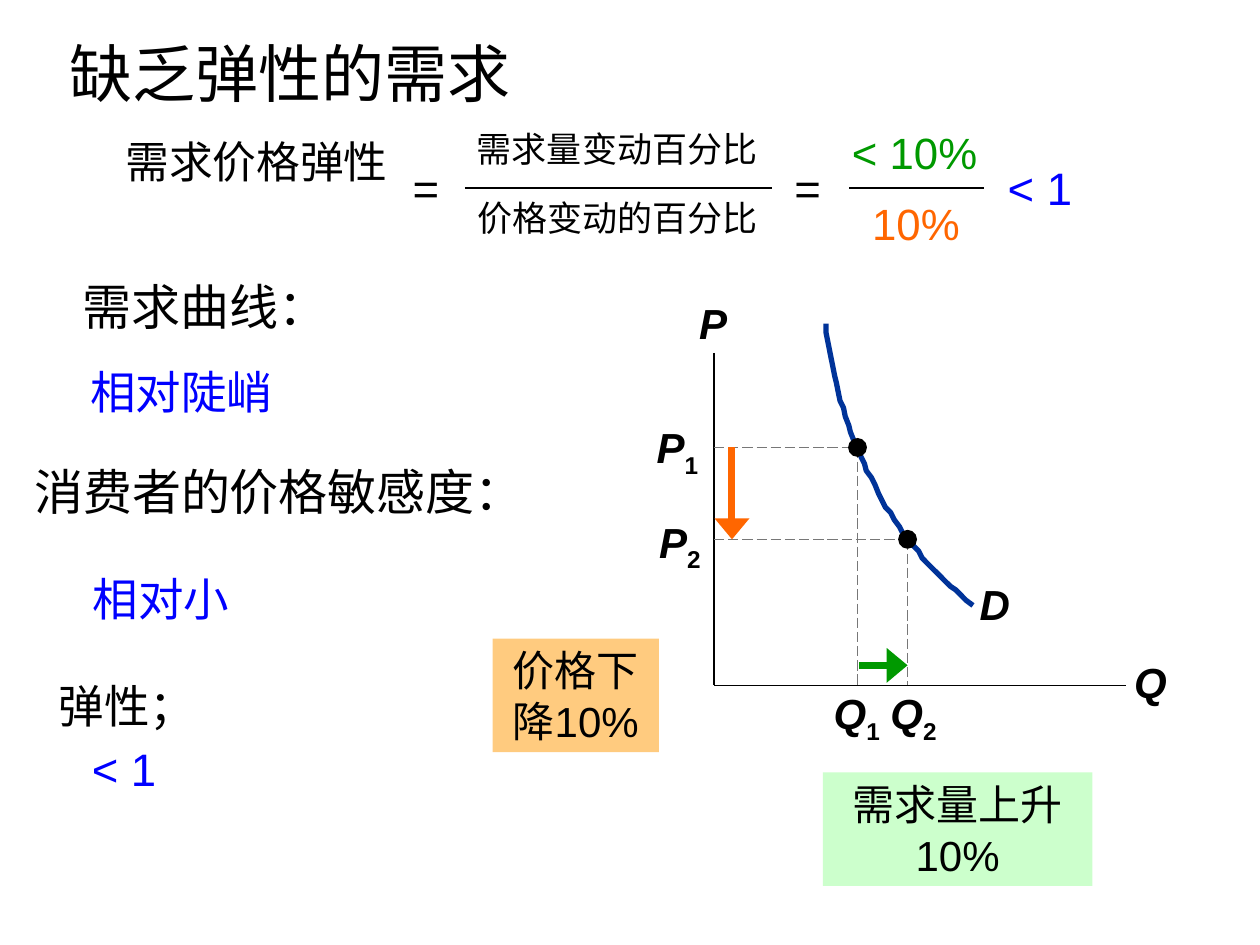
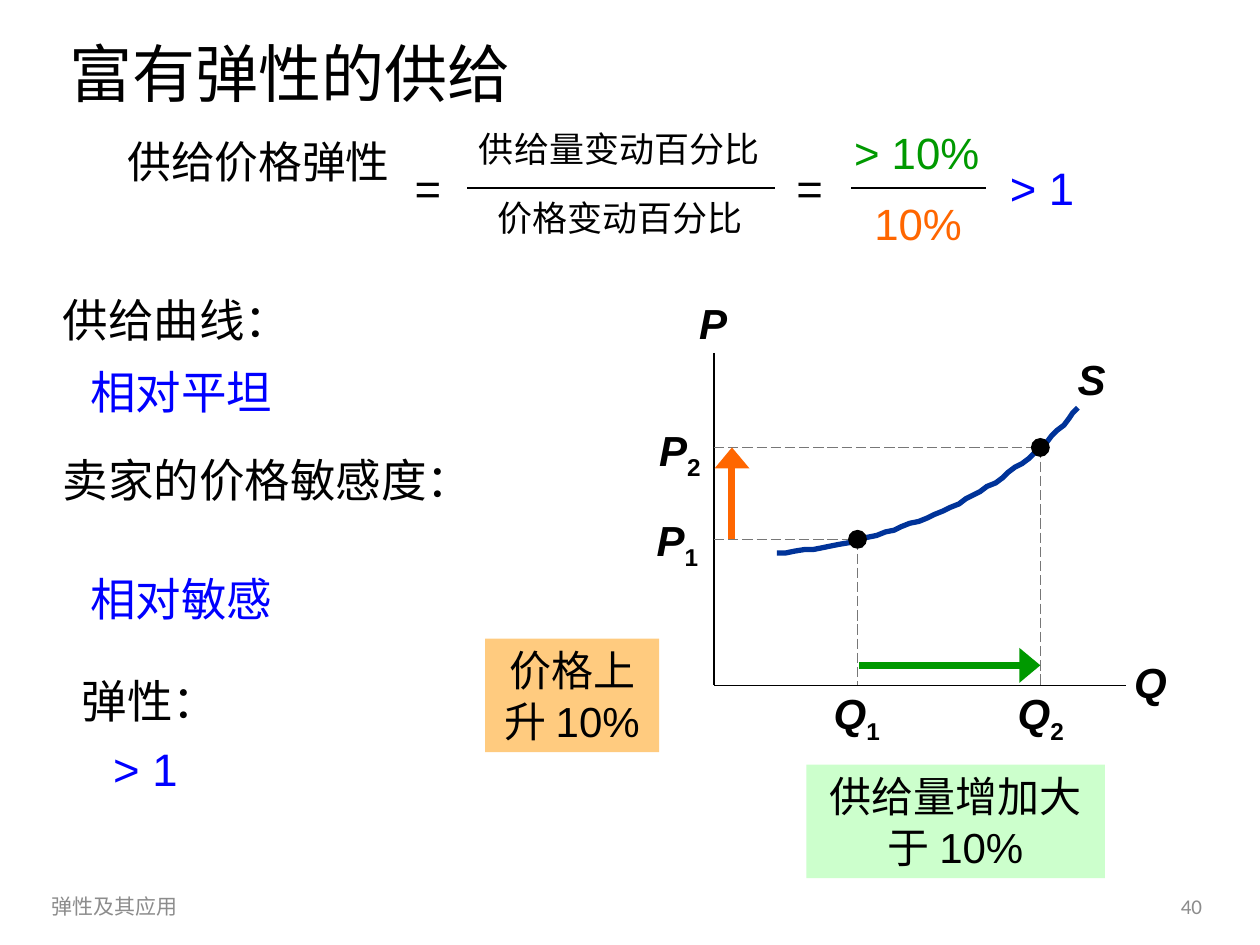
from dataclasses import dataclass
from typing import Any, NamedTuple, Optional

from lxml.etree import SubElement
from pptx import Presentation
from pptx.dml.color import RGBColor
from pptx.enum.dml import MSO_LINE_DASH_STYLE as Dash
from pptx.enum.shapes import MSO_CONNECTOR as Connector, MSO_SHAPE as Preset
from pptx.enum.text import MSO_ANCHOR as Anchor, MSO_AUTO_SIZE as AutoSize, PP_ALIGN as Align
from pptx.oxml.ns import qn
from pptx.util import Pt


@dataclass(frozen=True)
class Theme:
    black: str = "000000"
    grey: str = "8C8C8C"
    guide: str = "777777"
    curve: str = "003399"
    answer: str = "0000FF"
    price: str = "FF6600"
    quantity: str = "009900"
    price_fill: str = "FF9900"
    quantity_fill: str = "CCFFCC"
    body_font: str = "Arial"
    title_font: str = "Calibri"
    title: float = 36
    large: float = 28
    note: float = 26
    formula: float = 25
    label: float = 24
    fraction: float = 20
    footer: float = 12


THEME = Theme()


class Spot(NamedTuple):
    x: float
    y: float


class Area(NamedTuple):
    left: float
    top: float
    width: float
    height: float


@dataclass(frozen=True)
class Style:
    size: float
    color: str = THEME.black
    font: str = THEME.body_font
    align: Align = Align.CENTER
    spacing: float = 1.0
    anchor: Anchor = Anchor.TOP
    strong: bool = False


@dataclass(frozen=True)
class Note:
    text: str
    left: float
    top: float
    size: float = THEME.note
    color: str = THEME.black


@dataclass(frozen=True)
class MarketPoint:
    """A dot on the curve with the places of its two axis labels."""
    number: str
    spot: Spot
    quantity_center: float
    price_label: Spot


@dataclass(frozen=True)
class Callout:
    text: str
    area: Area


@dataclass(frozen=True)
class Lesson:
    title: str
    term: str
    numerator: str
    denominator: str
    change: str
    result: str
    formula_shift: float
    notes: tuple[Note, ...]
    curve: tuple[Spot, ...]
    curve_name: str
    curve_label: Spot
    points: tuple[MarketPoint, MarketPoint]
    price_callout: Callout
    quantity_callout: Callout
    page_number: Optional[str] = None


TITLE = Style(THEME.title, font=THEME.title_font, align=Align.LEFT, spacing=0.9, anchor=Anchor.MIDDLE)
LABEL = Style(THEME.label, strong=True)
PRICE_LABEL = Style(THEME.label, strong=True, align=Align.RIGHT)
CALLOUT = Style(THEME.label)
FOOTER = Style(THEME.footer, THEME.grey, THEME.title_font, Align.LEFT, anchor=Anchor.MIDDLE)
PAGE_NUMBER = Style(THEME.footer, THEME.grey, THEME.title_font, anchor=Anchor.MIDDLE)

ORIGIN = Spot(408, 391.7)
AXIS_TOP, AXIS_RIGHT = 201.6, 643.7
HIGH_PRICE, LOW_PRICE = 255.7, 308.2
FIRST_QUANTITY = 490
DOT = 10.8
LABEL_HEIGHT = 36


def assign(target: Any, values: dict[str, Any]) -> None:
    for name, value in values.items():
        setattr(target, name, value)


def write(shape: Any, text: str, style: Style, subscript: str = "") -> None:
    frame = shape.text_frame
    assign(frame, {"word_wrap": True, "auto_size": AutoSize.NONE, "vertical_anchor": style.anchor})
    para = frame.paragraphs[0]
    assign(para, {"alignment": style.align, "line_spacing": style.spacing})
    for content, is_subscript in ((text, False), (subscript, True)):
        if not content:
            continue
        span = para.add_run()
        span.text = content
        assign(span.font, {"name": style.font, "size": Pt(style.size), "bold": style.strong,
                           "italic": style.strong and not is_subscript})
        span.font.color.rgb = RGBColor.from_string(style.color)
        if is_subscript:
            span._r.get_or_add_rPr().set("baseline", "-25000")


def add_text(page: Any, text: str, area: Area, style: Style, subscript: str = "") -> None:
    write(page.shapes.add_textbox(*map(Pt, area)), text, style, subscript)


def add_block(page: Any, preset: Preset, area: Area, fill: str, alpha: int = 100) -> Any:
    block = page.shapes.add_shape(preset, *map(Pt, area))
    block.shadow.inherit = False
    block.fill.solid()
    block.fill.fore_color.rgb = RGBColor.from_string(fill)
    block.line.fill.background()
    if alpha < 100:
        color = block._element.spPr.find(f".//{qn('a:srgbClr')}")
        SubElement(color, qn("a:alpha"), val=str(alpha * 1000))
    return block


def add_line(page: Any, start: Spot, end: Spot, color: str = THEME.black, width: float = 1,
             dash: Optional[Dash] = None, arrow: bool = False) -> None:
    line = page.shapes.add_connector(Connector.STRAIGHT, *map(Pt, (*start, *end)))
    line.line.color.rgb = RGBColor.from_string(color)
    assign(line.line, {"width": Pt(width), "dash_style": dash})
    if arrow:
        SubElement(line.line._get_or_add_ln(), qn("a:tailEnd"), type="triangle", w="lg", len="med")
    SubElement(line._element.spPr, qn("a:effectLst"))


def bezier(controls: tuple[Spot, ...], t: float) -> Spot:
    """Point at t on the cubic curve, by repeated interpolation."""
    while len(controls) > 1:
        controls = tuple(Spot(a.x + (b.x - a.x) * t, a.y + (b.y - a.y) * t)
                         for a, b in zip(controls, controls[1:]))
    return controls[0]


def add_curve(page: Any, controls: tuple[Spot, ...], steps: int = 40) -> None:
    start, *rest = (bezier(controls, step / steps) for step in range(steps + 1))
    builder = page.shapes.build_freeform(start.x, start.y, scale=Pt(1))
    builder.add_line_segments(rest, close=False)
    curve = builder.convert_to_shape()
    curve.shadow.inherit = False
    curve.fill.background()
    curve.line.color.rgb = RGBColor.from_string(THEME.curve)
    curve.line.width = Pt(3)


def add_market_point(page: Any, point: MarketPoint) -> None:
    x, y = point.spot
    for end in (Spot(x, ORIGIN.y), Spot(ORIGIN.x, y)):
        add_line(page, end if end.x < x else point.spot, point.spot if end.x < x else end,
                 THEME.guide, 0.75, Dash.LONG_DASH)
    add_block(page, Preset.OVAL, Area(x - DOT / 2, y - DOT / 2, DOT, DOT), THEME.black)
    add_text(page, "Q", Area(point.quantity_center - 23, 389.5, 46, LABEL_HEIGHT), LABEL, point.number)
    right, top = point.price_label
    add_text(page, "P", Area(right - 48, top, 48, LABEL_HEIGHT), PRICE_LABEL, point.number)


def add_diagram(page: Any, lesson: Lesson) -> None:
    add_curve(page, lesson.curve)
    add_line(page, Spot(ORIGIN.x, AXIS_TOP), ORIGIN)
    add_line(page, ORIGIN, Spot(AXIS_RIGHT, ORIGIN.y))
    for name, spot in (("P", Spot(380.2, 166.3)), ("Q", Spot(630, 371.5)),
                       (lesson.curve_name, lesson.curve_label)):
        add_text(page, name, Area(*spot, 54.7, LABEL_HEIGHT), LABEL)
    for point in lesson.points:
        add_market_point(page, point)
    before, after = (point.spot for point in lesson.points)
    add_line(page, Spot(418.3, before.y), Spot(418.3, after.y), THEME.price, 4, arrow=True)
    add_line(page, Spot(before.x + 1, 380.2), Spot(after.x, 380.2), THEME.quantity, 4, arrow=True)
    for callout, fill, alpha in ((lesson.price_callout, THEME.price_fill, 50),
                                 (lesson.quantity_callout, THEME.quantity_fill, 100)):
        write(add_block(page, Preset.RECTANGLE, callout.area, fill, alpha), callout.text, CALLOUT)


def add_formula(page: Any, lesson: Lesson) -> None:
    shift = lesson.formula_shift
    equals, fraction = Style(THEME.note), Style(THEME.fraction)
    terms = (
        (lesson.term, Area(56.9, 75.6, 179.3, 36), Style(THEME.formula, spacing=0.95)),
        ("=", Area(225.4, 87.8, 36, 38), equals),
        (lesson.numerator, Area(258.7, 69.1, 188, 29), fraction),
        (lesson.denominator, Area(259, 108.7, 188, 29), fraction),
        ("=", Area(443.5, 87.8, 36, 38), equals),
        (lesson.change, Area(476.6, 68.4, 92, 37.4), Style(THEME.formula, THEME.quantity)),
        ("10%", Area(477.4, 108.7, 92, 37.4), Style(THEME.formula, THEME.price)),
        (lesson.result, Area(567.3, 87.8, 54, 38), Style(THEME.note, THEME.answer)),
    )
    for text, area, style in terms:
        add_text(page, text, area._replace(left=area.left + shift), style)
    for left, right in ((265.7, 441.4), (485.3, 562.2)):
        add_line(page, Spot(left + shift, 107.3), Spot(right + shift, 107.3))


def add_lesson(deck: Any, lesson: Lesson) -> None:
    page = deck.slides.add_slide(deck.slide_layouts[6])
    add_diagram(page, lesson)
    add_text(page, lesson.title, Area(32.4, 19.4, 660, 49), TITLE)
    add_formula(page, lesson)
    for note in lesson.notes:
        add_text(page, note.text, Area(note.left, note.top, 296, 42),
                 Style(note.size, note.color, align=Align.LEFT, spacing=1.05))
    if lesson.page_number:
        add_text(page, "弹性及其应用", Area(22.3, 503.3, 577, 28.8), FOOTER)
        add_text(page, lesson.page_number, Area(653.8, 503.3, 54, 28.8), PAGE_NUMBER)


LESSONS = (
    Lesson(
        title="缺乏弹性的需求", term="需求价格弹性",
        numerator="需求量变动百分比", denominator="价格变动的百分比",
        change="< 10%", result="< 1", formula_shift=0,
        notes=(
            Note("需求曲线：", 40.3, 152.6, THEME.large),
            Note("相对陡峭", 44.6, 203, color=THEME.answer),
            Note("消费者的价格敏感度：", 12.5, 258.5, THEME.large),
            Note("相对小", 46, 321.1, color=THEME.answer),
            Note("弹性；", 26.6, 382.3),
            Note("< 1", 45.4, 418.3, color=THEME.answer),
        ),
        curve=(Spot(555.8, 345.6), Spot(510.5, 311), Spot(479.5, 252), Spot(471.6, 185)),
        curve_name="D", curve_label=Spot(541.1, 326.9),
        points=(
            MarketPoint("1", Spot(FIRST_QUANTITY, HIGH_PRICE), 489.6, Spot(406.1, 237.6)),
            MarketPoint("2", Spot(518.6, LOW_PRICE), 522, Spot(407.5, 291.6)),
        ),
        price_callout=Callout("价格下降10%", Area(281.5, 365, 95, 64.8)),
        quantity_callout=Callout("需求量上升10%", Area(470.2, 441.4, 154, 64.8)),
    ),
    Lesson(
        title="富有弹性的供给", term="供给价格弹性",
        numerator="供给量变动百分比", denominator="价格变动百分比",
        change="> 10%", result="> 1", formula_shift=1.2,
        notes=(
            Note("供给曲线：", 28.8, 162),
            Note("相对平坦", 44.6, 203, color=THEME.answer),
            Note("卖家的价格敏感度：", 28.8, 253.4),
            Note("相对敏感", 44.6, 321.1, color=THEME.answer),
            Note("弹性：", 39.6, 379.4),
            Note("> 1", 57.6, 418.3, color=THEME.answer),
        ),
        curve=(Spot(616.3, 232.6), Spot(579.6, 279.4), Spot(515.5, 310.3), Spot(443.5, 316.1)),
        curve_name="S", curve_label=Spot(596.5, 198.7),
        points=(
            MarketPoint("1", Spot(FIRST_QUANTITY, LOW_PRICE), 489.6, Spot(406.1, 290.2)),
            MarketPoint("2", Spot(594.5, HIGH_PRICE), 594.7, Spot(407.5, 239)),
        ),
        price_callout=Callout("价格上升 10%", Area(277.2, 365, 99.4, 64.8)),
        quantity_callout=Callout("供给量增加大于 10%", Area(460.8, 437, 170.6, 64.8)),
        page_number="40",
    ),
)


def main() -> None:
    deck = Presentation()
    assign(deck, {"slide_width": Pt(720), "slide_height": Pt(540)})
    for lesson in LESSONS:
        add_lesson(deck, lesson)
    deck.save("out.pptx")


if __name__ == "__main__":
    main()
